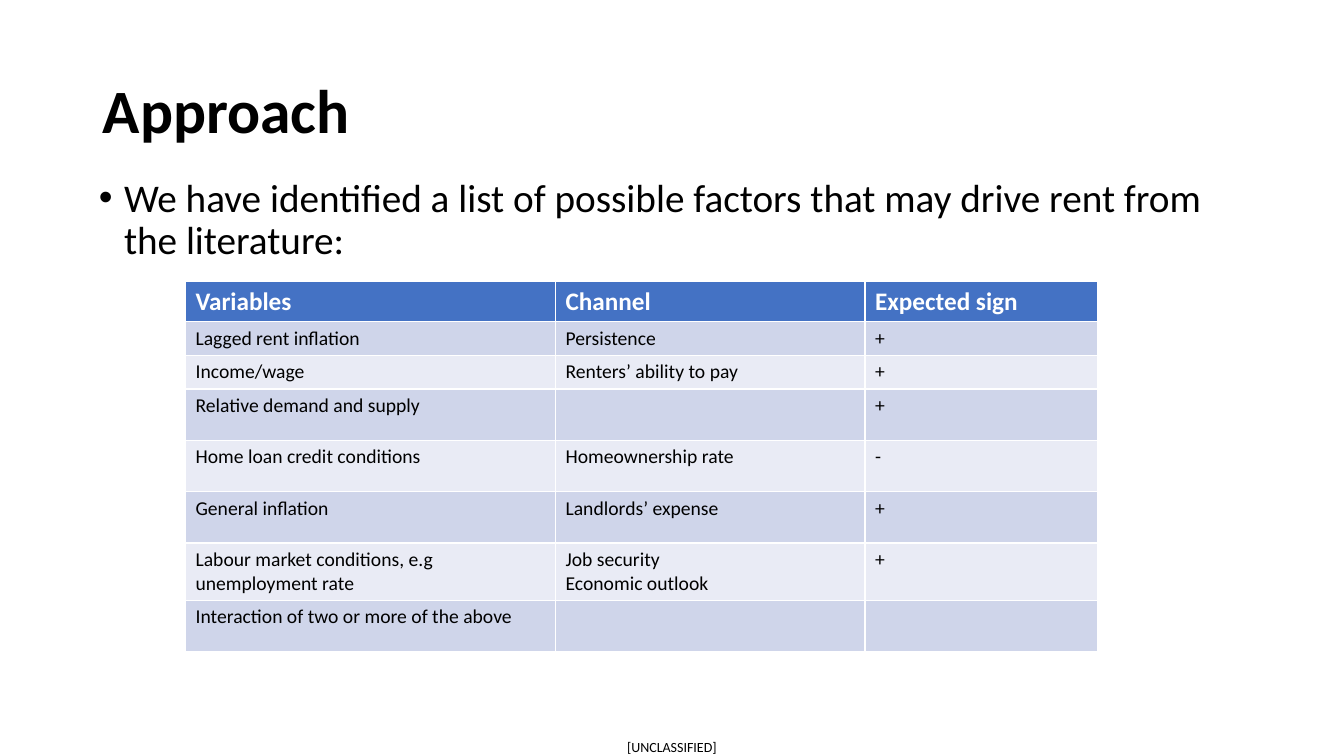
from pptx import Presentation
from pptx.dml.color import RGBColor
from pptx.enum.text import MSO_ANCHOR as Anchor, MSO_AUTO_SIZE as Fit, PP_ALIGN as Align
from pptx.util import Inches, Pt

BLACK = RGBColor(0x00, 0x00, 0x00)
WHITE = RGBColor(0xFF, 0xFF, 0xFF)
BLUE = RGBColor(0x44, 0x72, 0xC4)
BANDS = [RGBColor(0xE9, 0xEB, 0xF5), RGBColor(0xCF, 0xD5, 0xEA)]
FONT = "Calibri"

WIDTHS = [3.67, 3.07, 2.31]
HEIGHTS = [0.3] * 3 + [0.51] * 5
ROWS = [
    ("Variables", "Channel", "Expected sign"),
    ("Lagged rent inflation", "Persistence", "+"),
    ("Income/wage", "Renters’ ability to pay", "+"),
    ("Relative demand and supply", "", "+"),
    ("Home loan credit conditions", "Homeownership rate", "-"),
    ("General inflation", "Landlords’ expense", "+"),
    ("Labour market conditions, e.g unemployment rate",
     "Job security\nEconomic outlook", "+"),
    ("Interaction of two or more of the above", "", ""),
]


def write(frame, text, size, color=BLACK, bold=False):
    frame.text = text
    for para in frame.paragraphs:
        for run in para.runs:
            font = run.font
            font.name, font.size, font.bold = FONT, Pt(size), bold
            font.color.rgb = color


def place(shape, box):
    shape.left, shape.top, shape.width, shape.height = map(Inches, box)


def add_title(slide, box):
    title = slide.shapes.title
    place(title, box)
    frame = title.text_frame
    write(frame, "Approach", 44, bold=True)
    frame.auto_size = Fit.NONE
    frame.vertical_anchor = Anchor.MIDDLE
    para = frame.paragraphs[0]
    para.alignment = Align.LEFT
    para.line_spacing = 0.9


def add_body(slide, box):
    body = slide.placeholders[1]
    place(body, box)
    frame = body.text_frame
    write(frame, "We have identified a list of possible factors that may "
                 "drive rent from the literature:", 28)
    frame.auto_size = Fit.NONE
    para = frame.paragraphs[0]
    para.line_spacing = 0.9
    para.space_before = Pt(10)
    # Hanging indent for the layout's bullet
    props = para._p.get_or_add_pPr()
    props.set("marL", str(Inches(0.25)))
    props.set("indent", str(Inches(-0.25)))


def add_factors(slide, box):
    grid = slide.shapes.add_table(len(ROWS), len(WIDTHS), *map(Inches, box)).table
    for col, width in zip(grid.columns, WIDTHS):
        col.width = Inches(width)
    for i, (row, height, texts) in enumerate(zip(grid.rows, HEIGHTS, ROWS)):
        row.height = Inches(height)
        head = i == 0
        for cell, text in zip(row.cells, texts):
            cell.fill.solid()
            cell.fill.fore_color.rgb = BLUE if head else BANDS[i % 2]
            write(cell.text_frame, text, 18 if head else 14,
                  WHITE if head else BLACK, head)


def add_mark(slide, box):
    mark = slide.shapes.add_textbox(*map(Inches, box))
    frame = mark.text_frame
    frame.margin_left = frame.margin_right = 0
    frame.margin_top = frame.margin_bottom = 0
    write(frame, "[UNCLASSIFIED]", 10)


def main():
    deck = Presentation()
    deck.slide_width, deck.slide_height = Inches(13.33), Inches(7.5)
    slide = deck.slides.add_slide(deck.slide_layouts[1])
    add_mark(slide, (6.22, 7.33, 0.93, 0.17))
    add_body(slide, (0.88, 1.72, 11.53, 5.18))
    add_title(slide, (0.92, 0.4, 11.5, 1.45))
    add_factors(slide, (1.84, 2.79, sum(WIDTHS), sum(HEIGHTS)))
    deck.save("out.pptx")


if __name__ == "__main__":
    main()
